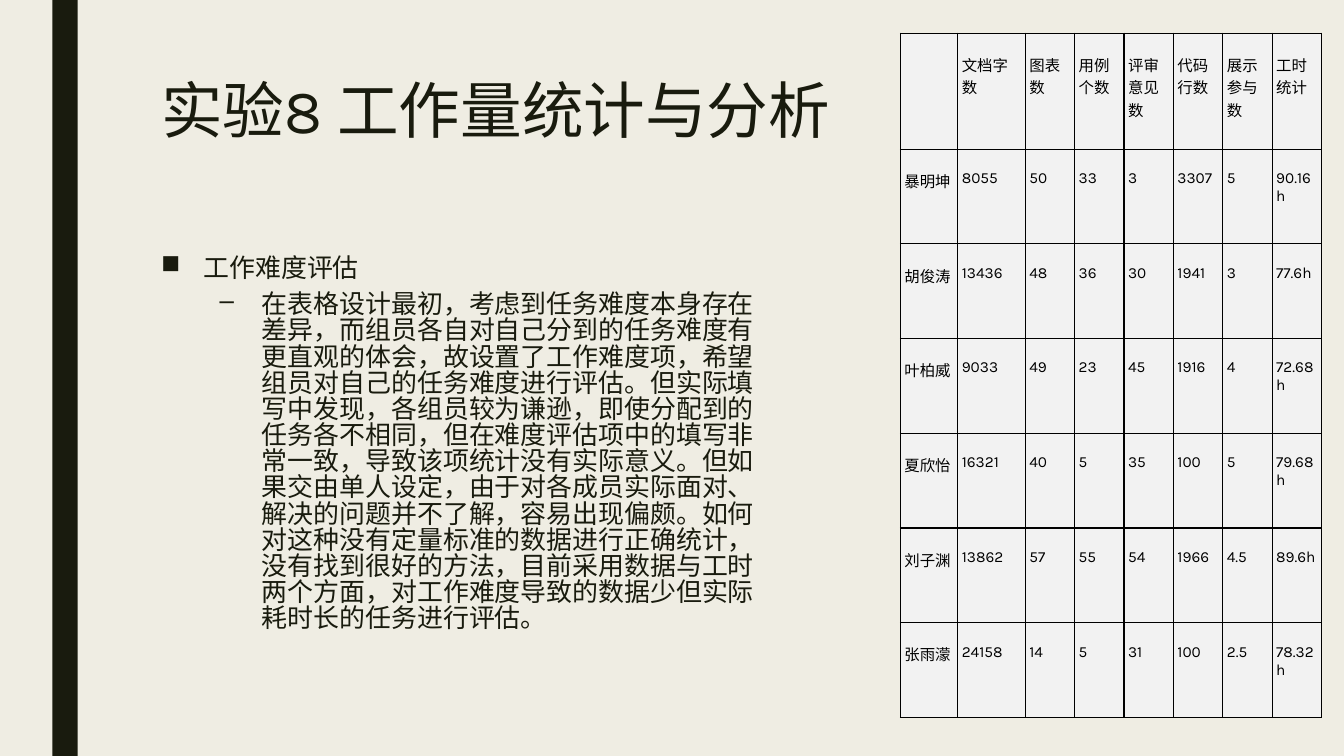
from lxml import etree
from pptx import Presentation, util as u
from pptx.dml.color import RGBColor
from pptx.enum import shapes, text
from pptx.oxml.ns import qn

WIDTH, HEIGHT = 13.33, 7.5
FONT, INK, PAPER = "Karla", "191B0E", "EFEDE3"
CELL_FILL, BLACK = "F2F2F2", "000000"

TITLE = "实验8 工作量统计与分析"
TOPIC = "工作难度评估"
ASSESSMENT = (
    "在表格设计最初，考虑到任务难度本身存在差异，而组员各自对自己分到的任务难度有"
    "更直观的体会，故设置了工作难度项，希望组员对自己的任务难度进行评估。但实际填"
    "写中发现，各组员较为谦逊，即使分配到的任务各不相同，但在难度评估项中的填写非"
    "常一致，导致该项统计没有实际意义。但如果交由单人设定，由于对各成员实际面对、"
    "解决的问题并不了解，容易出现偏颇。如何对这种没有定量标准的数据进行正确统计，"
    "没有找到很好的方法，目前采用数据与工时两个方面，对工作难度导致的数据少但实际"
    "耗时长的任务进行评估。"
)
WORKLOAD = [
    ["", "文档字数", "图表数", "用例个数", "评审意见数", "代码行数", "展示参与数", "工时统计"],
    ["暴明坤", "8055", "50", "33", "3", "3307", "5", "90.16h"],
    ["胡俊涛", "13436", "48", "36", "30", "1941", "3", "77.6h"],
    ["叶柏威", "9033", "49", "23", "45", "1916", "4", "72.68h"],
    ["夏欣怡", "16321", "40", "5", "35", "100", "5", "79.68h"],
    ["刘子渊", "13862", "57", "55", "54", "1966", "4.5", "89.6h"],
    ["张雨濛", "24158", "14", "5", "31", "100", "2.5", "78.32h"],
]
COLUMN_WIDTHS = [0.57, 0.67] + [0.49] * 6
ROW_HEIGHTS = [1.15] + [0.94] * 6


def color(hex_code):
    """Turn a hex string into a colour."""
    return RGBColor.from_string(hex_code)


def inches(*lengths):
    """Convert several lengths in inches."""
    return [u.Inches(length) for length in lengths]


def style(paragraph, size, hex_code):
    """Format every run of a paragraph."""
    for run in paragraph.runs:
        run.font.name = FONT
        run.font.size = u.Pt(size)
        run.font.color.rgb = color(hex_code)


def add_side_bar(slide):
    """Draw the dark bar along the left edge, full height."""
    bar = slide.shapes.add_shape(
        shapes.MSO_SHAPE.RECTANGLE, *inches(0.52, 0, 0.25, HEIGHT))
    bar.shadow.inherit = False
    bar.fill.solid()
    bar.fill.fore_color.rgb = color(INK)
    bar.line.fill.background()


def set_title(slide):
    """Place and format the title."""
    title = slide.shapes.title
    title.left, title.top, title.width, title.height = inches(1.5, 0.75, 10.5, 1.62)
    frame = title.text_frame
    frame.text = TITLE
    frame.auto_size = text.MSO_AUTO_SIZE.NONE
    frame.vertical_anchor = text.MSO_ANCHOR.TOP
    heading = frame.paragraphs[0]
    heading.alignment = text.PP_ALIGN.LEFT
    heading.line_spacing = 0.89
    style(heading, 44, INK)


def format_bullet(paragraph, mark, indent, before):
    """Give a paragraph a bullet, a hanging indent and its spacing."""
    paragraph.line_spacing = 0.84
    paragraph.space_before = u.Pt(before)
    paragraph.space_after = u.Pt(2)
    style(paragraph, 18.5, INK)
    properties = paragraph._p.get_or_add_pPr()
    properties.set("marL", str(u.Inches(indent)))
    properties.set("indent", str(u.Inches(-0.42)))
    etree.SubElement(properties, qn("a:buChar")).set("char", mark)


def add_assessment(slide):
    """Write the topic and the explanation below it."""
    frame = slide.shapes.add_textbox(*inches(1.5, 2.5, 6.19, 4.6)).text_frame
    frame.word_wrap = True
    topic, explanation = frame.paragraphs[0], frame.add_paragraph()
    topic.text, explanation.text = TOPIC, ASSESSMENT
    explanation.level = 1
    format_bullet(topic, "■", 0.42, 10)
    format_bullet(explanation, "–", 1, 5)


def add_borders(cell):
    """Draw a thin black line on all four sides of a cell."""
    properties = cell._tc.get_or_add_tcPr()
    for side in ("lnL", "lnR", "lnT", "lnB"):
        line = etree.SubElement(properties, qn(f"a:{side}"), w=str(u.Pt(1)))
        fill = etree.SubElement(line, qn("a:solidFill"))
        etree.SubElement(fill, qn("a:srgbClr"), val=BLACK)


def fill_cell(cell, value):
    """Write a value into a cell and format it."""
    cell.text = value
    cell.margin_left = cell.margin_right = u.Inches(0.04)
    cell.margin_top, cell.margin_bottom = inches(0.2, 0.02)
    style(cell.text_frame.paragraphs[0], 11, BLACK)
    add_borders(cell)
    cell.fill.solid()
    cell.fill.fore_color.rgb = color(CELL_FILL)


def add_workload_table(slide):
    """Add the workload of each member."""
    table = slide.shapes.add_table(
        len(ROW_HEIGHTS), len(COLUMN_WIDTHS),
        *inches(8.93, 0.33, sum(COLUMN_WIDTHS), sum(ROW_HEIGHTS))).table
    table.first_row = table.horz_banding = False
    for column, width in zip(table.columns, COLUMN_WIDTHS):
        column.width = u.Inches(width)
    for row, height, member in zip(table.rows, ROW_HEIGHTS, WORKLOAD):
        row.height = u.Inches(height)
        for cell, value in zip(row.cells, member):
            fill_cell(cell, value)


def main():
    """Build the slide and save it."""
    deck = Presentation()
    deck.slide_width, deck.slide_height = inches(WIDTH, HEIGHT)
    slide = deck.slides.add_slide(deck.slide_layouts[5])
    slide.background.fill.solid()
    slide.background.fill.fore_color.rgb = color(PAPER)
    add_side_bar(slide)
    set_title(slide)
    add_workload_table(slide)
    add_assessment(slide)
    deck.save("out.pptx")


main()
